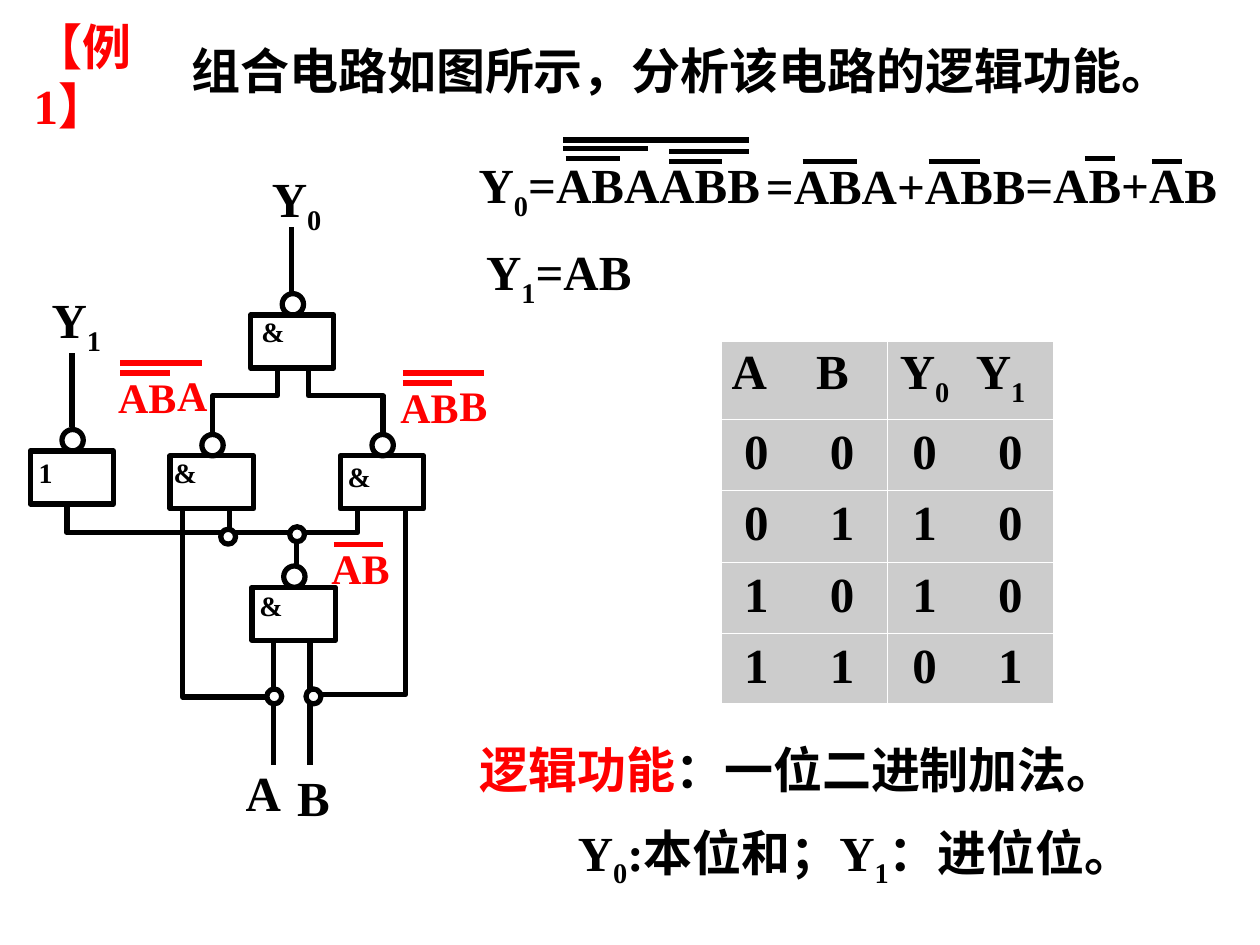
from dataclasses import dataclass

from lxml.etree import SubElement
from pptx import Presentation
from pptx.dml.color import RGBColor
from pptx.enum.shapes import MSO_CONNECTOR, MSO_SHAPE
from pptx.enum.text import MSO_ANCHOR, PP_ALIGN
from pptx.oxml.ns import qn
from pptx.util import Cm, Pt


@dataclass(frozen=True)
class Theme:
    black: RGBColor = RGBColor(0, 0, 0)
    red: RGBColor = RGBColor(255, 0, 0)
    white: RGBColor = RGBColor(255, 255, 255)
    cell: RGBColor = RGBColor(0xCC, 0xCC, 0xCC)
    serif: str = "Times New Roman"
    sans: str = "Arial"
    body: int = 28
    node: int = 24
    gate: int = 16
    stroke: float = 3
    hairline: float = 0.75


T = Theme()


# Text: "_" makes the next character a subscript
def add_runs(p, text, color=T.black, size=T.body, font=T.serif):
    def run(piece, subscript=False):
        if not piece:
            return
        r = p.add_run()
        r.text = piece
        r.font.size, r.font.bold, r.font.name = Pt(size), True, font
        r.font.color.rgb = color
        if subscript:
            r._r.get_or_add_rPr().set("baseline", "-25000")

    first, *rest = text.split("_")
    run(first)
    for piece in rest:
        run(piece[0], True)
        run(piece[1:])


def label(s, x, y, w, h, text="", framed=False, **style):
    if framed:
        sp = outline(s, MSO_SHAPE.RECTANGLE, x, y, w, h, T.white)
    else:
        sp = s.shapes.add_textbox(Cm(x), Cm(y), Cm(w), Cm(h))
    tf = sp.text_frame
    tf.word_wrap = True
    tf.vertical_anchor = MSO_ANCHOR.TOP
    tf.paragraphs[0].alignment = PP_ALIGN.LEFT
    add_runs(tf.paragraphs[0], text, **style)
    return sp


# Drawing primitives
def outline(s, kind, x, y, w, h, color=T.black, fill=None):
    sp = s.shapes.add_shape(kind, Cm(x), Cm(y), Cm(w), Cm(h))
    sp.shadow.inherit = False
    if fill is None:
        sp.fill.background()
    else:
        sp.fill.solid()
        sp.fill.fore_color.rgb = fill
    sp.line.color.rgb, sp.line.width = color, Pt(T.stroke)
    return sp


def line(s, x1, y1, x2, y2, color=T.black):
    c = s.shapes.add_connector(MSO_CONNECTOR.STRAIGHT, Cm(x1), Cm(y1), Cm(x2), Cm(y2))
    c.line.color.rgb, c.line.width = color, Pt(T.stroke)
    SubElement(c._element.spPr, qn("a:effectLst"))


def wire(s, points):
    if len(points) == 2:
        line(s, *points[0], *points[1])
        return
    start, *rest = [(Cm(x), Cm(y)) for x, y in points]
    fb = s.shapes.build_freeform(*start, scale=1.0)
    fb.add_line_segments(rest, close=False)
    sp = fb.convert_to_shape()
    sp.shadow.inherit = False
    sp.fill.background()
    sp.line.color.rgb, sp.line.width = T.black, Pt(T.stroke)


# Heading
def heading(s, x, y):
    sp = label(s, x, y + 0.1, 4.27, 1.47, "【例1】", color=T.red)
    sp.text_frame.vertical_anchor = MSO_ANCHOR.MIDDLE
    sp.text_frame.margin_right = Cm(0.9)
    label(s, x + 3.18, y, 20.62, 1.45, "组合电路如图所示，分析该电路的逻辑功能。", font=T.sans)


# Output equations with their negation bars
def equations(s, x, y):
    for dx, dy, w, text, framed in [
        (0, 0.2, 6.63, "Y_0=ABAABB", True),
        (5.79, 0.22, 6.17, "=ABA+ABB", False),
        (11.02, 0.2, 4.72, "=AB+AB", False),
        (0.15, 1.95, 4.29, "Y_1=AB", True),
    ]:
        label(s, x + dx, y + dy, w, 1.45, text, framed)
    for x1, x2, dy in [
        (2, 3.1, 0.4), (1.95, 3.66, 0.2), (4.09, 5.15, 0.45),
        (4.09, 5.69, 0.25), (1.95, 5.69, 0.02), (6.78, 7.87, 0.45),
        (9.32, 10.36, 0.45), (12.47, 13.08, 0.4), (13.82, 14.43, 0.45),
    ]:
        line(s, x + x1, y + dy, x + x2, y + dy)


# Signal name at a gate output: AB barred, optionally times another input
def node_label(s, x, y, factor=""):
    style = dict(color=T.red, size=T.node)
    label(s, x, y, 1.7, 1.27, "AB", **style)
    line(s, x + 0.3, y + 0.15, x + 1.3, y + 0.15, T.red)
    if factor:
        label(s, x + 1.19, y - 0.05, 1.65, 1.27, factor, **style)
        line(s, x + 0.3, y - 0.05, x + 1.94, y - 0.05, T.red)


def gate(s, x, y, symbol, dx, dy):
    outline(s, MSO_SHAPE.RECTANGLE, x, y, 1.68, 1.07)
    outline(s, MSO_SHAPE.OVAL, x + 0.64, y - 0.43, 0.43, 0.43)
    label(s, x + dx, y + dy, 1.57, 0.94, symbol, size=T.gate)


# Logic circuit
def circuit(s, x, y):
    for gx, gy, symbol, dx, dy in [
        (4.58, 8.64, "&", -0.1, -0.1),
        (6.36, 5.99, "&", -0.1, -0.05),
        (2.93, 5.99, "&", -0.18, -0.13),
        (4.55, 3.15, "&", -0.03, -0.13),
        (0.11, 5.89, "1", -0.08, -0.03),
    ]:
        gate(s, x + gx, y + gy, symbol, dx, dy)
    for points in [
        [(5.01, 9.68), (5.01, 12.22)],
        [(5.75, 9.68), (5.75, 12.22)],
        [(4.12, 7.06), (4.12, 7.54), (6.71, 7.54), (6.71, 7.06)],
        [(5.47, 8.2), (5.47, 7.54)],
        [(7.68, 7.06), (7.68, 10.8), (5.77, 10.8)],
        [(3.18, 7.11), (3.18, 10.85), (5.09, 10.85)],
        [(5.72, 4.22), (5.72, 4.78), (7.22, 4.78), (7.22, 5.61)],
        [(5.09, 4.22), (5.09, 4.78), (3.79, 4.78), (3.79, 5.56)],
        [(5.37, 2.72), (5.37, 1.37)],
        [(4.1, 7.54), (0.85, 7.54), (0.85, 6.96)],
        [(0.95, 5.41), (0.95, 3.91)],
    ]:
        wire(s, [(x + px, y + py) for px, py in points])
    for dx, dy in [(5.67, 10.69), (4.88, 10.69), (5.34, 7.42), (3.95, 7.47)]:
        outline(s, MSO_SHAPE.OVAL, x + dx, y + dy, 0.3, 0.3, fill=T.white)
    for dx, dy, w, text in [
        (4.2, 12.04, 2.03, "A"), (5.24, 12.14, 1.6, "B"),
        (4.73, 0.08, 1.6, "Y_0"), (0.29, 2.52, 1.6, "Y_1"),
    ]:
        label(s, x + dx, y + dy, w, 1.45, text)
    for dx, dy, factor in [(5.93, 7.62, ""), (7.32, 4.37, "B"), (1.63, 4.17, "A")]:
        node_label(s, x + dx, y + dy, factor)


# Truth table
def border(cell, side, width):
    ln = SubElement(cell._tc.get_or_add_tcPr(), qn(f"a:ln{side}"), w=str(Pt(width)))
    SubElement(SubElement(ln, qn("a:solidFill")), qn("a:srgbClr"), val=str(T.white))


def truth_table(s, x, y, w, h):
    rows = [("A\tB", "Y_0\tY_1"), ("0\t0", "0\t0"), ("0\t1", "1\t0"),
            ("1\t0", "1\t0"), ("1\t1", "0\t1")]
    n = len(rows)
    table = s.shapes.add_table(n, 2, Cm(x), Cm(y), Cm(w), Cm(h)).table
    for i, row in enumerate(rows):
        table.rows[i].height = Cm(1.55 if i == 0 else (h - 1.55) / (n - 1))
        for j, text in enumerate(row):
            cell = table.cell(i, j)
            edges = {"L": j == 0, "R": j == 1, "T": i == 0, "B": i == n - 1}
            for side, outer in edges.items():
                border(cell, side, T.stroke if outer else T.hairline)
            cell.fill.solid()
            cell.fill.fore_color.rgb = T.cell
            cell.margin_left = Cm(0.5 if i else 0.25)
            p = cell.text_frame.paragraphs[0]
            stop = 1.73 if i else (1.7, 1.53)[j]
            tabs = SubElement(p._p.get_or_add_pPr(), qn("a:tabLst"))
            SubElement(tabs, qn("a:tab"), pos=str(Cm(stop)), algn="l")
            add_runs(p, text)


# Conclusion
def conclusion(s, x, y, w, h):
    tf = label(s, x, y, w, h, "逻辑功能", color=T.red).text_frame
    add_runs(tf.paragraphs[0], "：一位二进制加法。")
    p = tf.add_paragraph()
    p.space_before = Pt(14)
    p._p.get_or_add_pPr().set("marL", str(Cm(1.98)))
    add_runs(p, "Y_0:本位和；Y_1：进位位。")


def main():
    prs = Presentation()
    prs.slide_width, prs.slide_height = Cm(25.4), Cm(19.05)
    s = prs.slides.add_slide(prs.slide_layouts[6])
    heading(s, 0.43, 0.69)
    equations(s, 9.4, 2.8)
    truth_table(s, 14.5, 6.85, 6.78, 7.3)
    conclusion(s, 9.42, 14.78, 14.45, 3.23)
    circuit(s, 0.5, 3.2)
    prs.save("out.pptx")


if __name__ == "__main__":
    main()
